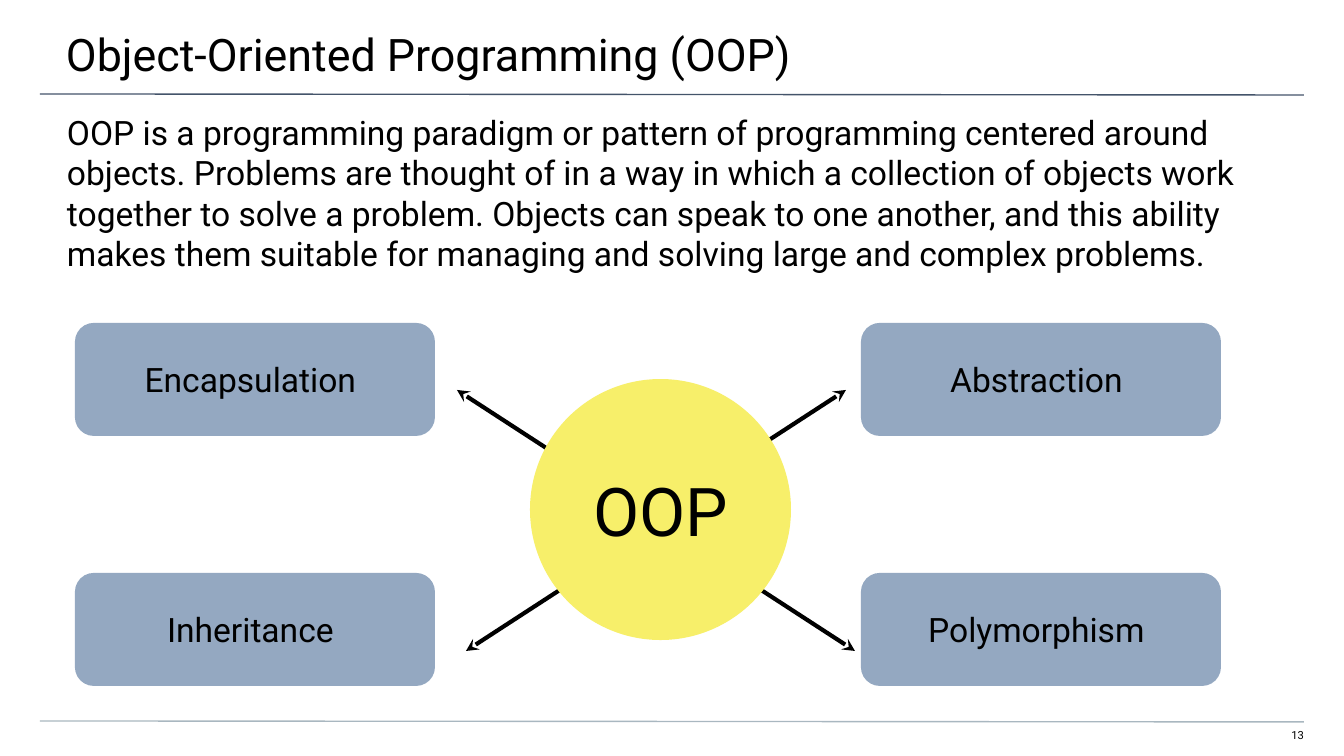
from lxml import etree
from pptx import Presentation
from pptx import util as u
from pptx.dml.color import RGBColor
from pptx.enum import shapes, text
from pptx.oxml import ns

TITLE = "Object-Oriented Programming (OOP)"
DEFINITION = (
    "OOP is a programming paradigm or pattern of programming centered around objects. "
    "Problems are thought of in a way in which a collection of objects work together to "
    "solve a problem. Objects can speak to one another, and this ability makes them "
    "suitable for managing and solving large and complex problems."
)
HUB = "OOP"
PILLARS = [["Encapsulation", "Abstraction"], ["Inheritance", "Polymorphism"]]
PAGE_NUMBER = "13"

THEME = {
    "font": "Roboto",
    "ink": "000000", "pillar": "365C8B", "hub": "F7EF6A",
    "top rule": "44546A", "bottom rule": "A9B7C0",
    "title size": 24, "body size": 18, "hub size": 36, "page size": 6,
    "pillar opacity": 53, "rule width": 0.75, "arrow width": 2.25,
}

# All lengths below are px
PX = 914400 / 134.4
SLIDE = (1344, 756)
PILLAR_LEFTS, PILLAR_TOPS, PILLAR_SIZE = (75, 861), (323, 573), (360, 113)
HUB_BOX = (530, 379, 261, 261)
ARROW_RUN, ARROW_RISE = 120, 78
ARROW_STARTS = [[(577, 468), (726, 468)], [(586, 573), (735, 573)]]
RULES = [("top rule", 40, 94, 1304, 95), ("bottom rule", 40, 721, 1304, 722)]


def emu(*lengths):
    return [round(length * PX) for length in lengths]


def color(name):
    return RGBColor.from_string(THEME[name])


def write(shape, words, size, margins, align="LEFT", anchor="TOP"):
    """Put one paragraph in a shape; margins run left, top, right, bottom."""
    frame = shape.text_frame
    left, top, right, bottom = emu(*margins)
    frame_format = {
        "word_wrap": True, "auto_size": text.MSO_AUTO_SIZE.NONE,
        "vertical_anchor": text.MSO_ANCHOR[anchor],
        "margin_left": left, "margin_top": top,
        "margin_right": right, "margin_bottom": bottom,
    }
    for name, value in frame_format.items():
        setattr(frame, name, value)
    paragraph = frame.paragraphs[0]
    paragraph_format = {
        "alignment": text.PP_ALIGN[align], "line_spacing": 1.0, "space_before": u.Pt(0),
    }
    for name, value in paragraph_format.items():
        setattr(paragraph, name, value)
    run = paragraph.add_run()
    run.text = words
    run.font.name = THEME["font"]
    run.font.size = u.Pt(THEME[size])
    run.font.color.rgb = color("ink")


def place(shape, *box):
    for name, value in zip(("left", "top", "width", "height"), emu(*box)):
        setattr(shape, name, value)


def add_filled(slide, kind, box, fill):
    shape = slide.shapes.add_shape(kind, *emu(*box))
    shape.shadow.inherit = False
    shape.fill.solid()
    shape.fill.fore_color.rgb = color(fill)
    shape.line.fill.background()
    return shape


def add_line(slide, ends, line_color, width, arrow=False):
    line = slide.shapes.add_connector(shapes.MSO_CONNECTOR.STRAIGHT, *emu(*ends))
    line.line.color.rgb = color(line_color)
    line.line.width = u.Pt(THEME[width])
    if arrow:
        etree.SubElement(line.line._get_or_add_ln(), ns.qn("a:tailEnd"), type="stealth")
    etree.SubElement(line._element.spPr, ns.qn("a:effectLst"))


def add_pillar(slide, words, left, top):
    box = (left, top, *PILLAR_SIZE)
    shape = add_filled(slide, shapes.MSO_SHAPE.ROUNDED_RECTANGLE, box, "pillar")
    shape.adjustments[0] = 0.167
    fill = shape._element.spPr.find(".//" + ns.qn("a:srgbClr"))
    opacity = str(THEME["pillar opacity"] * 1000)
    etree.SubElement(fill, ns.qn("a:alpha"), val=opacity)
    write(shape, words, "body size", (13, 13, 22, 13), "CENTER", "MIDDLE")


def main():
    presentation = Presentation()
    presentation.slide_width, presentation.slide_height = emu(*SLIDE)
    slide = presentation.slides.add_slide(presentation.slide_layouts[0])

    for rule, *ends in RULES:
        add_line(slide, ends, rule, "rule width")

    title, definition = slide.placeholders
    place(title, 0, 0, 1344, 78)
    write(title, TITLE, "title size", (66, 27, 40, 13))
    place(definition, 0, 99, 1344, 54)
    write(definition, DEFINITION, "body size", (67, 13, 67, 0))

    for row, top in enumerate(PILLAR_TOPS):
        for column, left in enumerate(PILLAR_LEFTS):
            add_pillar(slide, PILLARS[row][column], left, top)
            x, y = ARROW_STARTS[row][column]
            end_x = x + ARROW_RUN * (2 * column - 1)
            end_y = y + ARROW_RISE * (2 * row - 1)
            add_line(slide, (x, y, end_x, end_y), "ink", "arrow width", arrow=True)

    hub = add_filled(slide, shapes.MSO_SHAPE.OVAL, HUB_BOX, "hub")
    write(hub, HUB, "hub size", (13, 13, 13, 13), "CENTER", "MIDDLE")

    page = slide.shapes.add_textbox(*emu(1265, 728, 39, 16))
    write(page, PAGE_NUMBER, "page size", (0, 0, 0, 13), "RIGHT")

    presentation.save("out.pptx")


if __name__ == "__main__":
    main()
